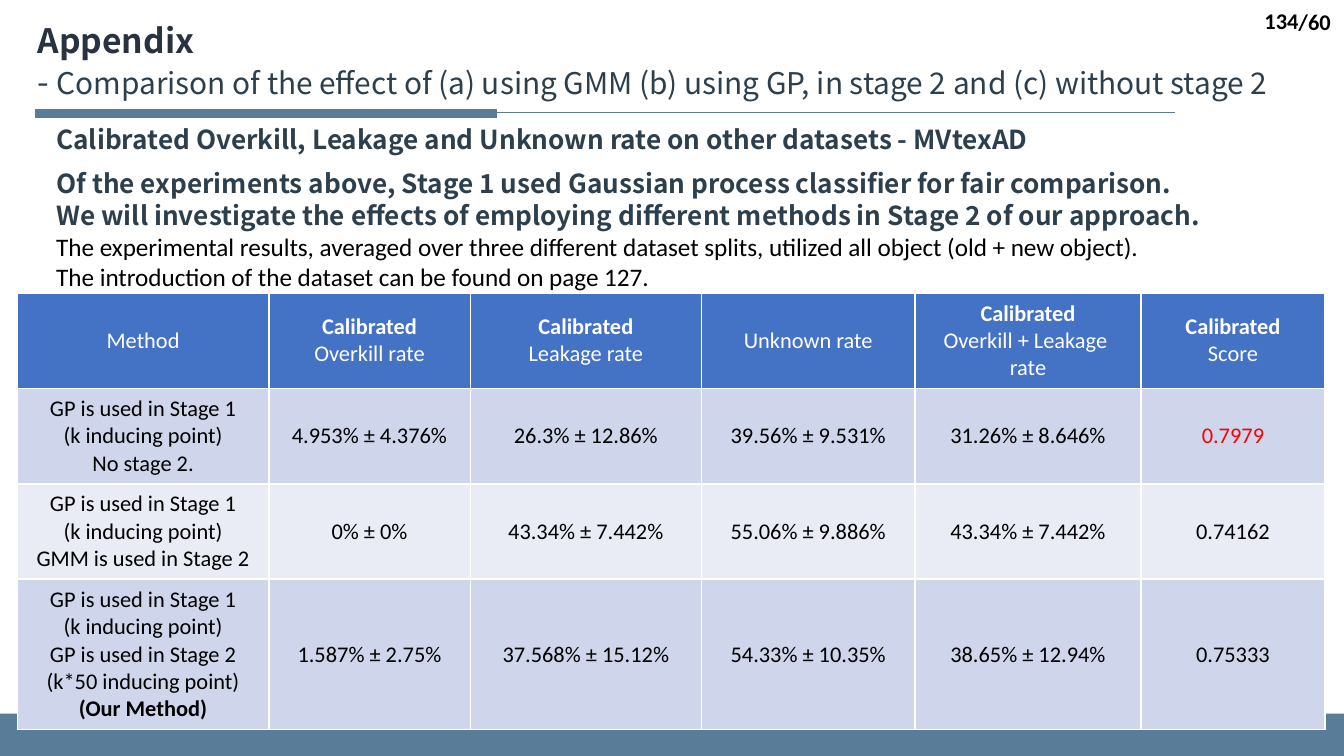
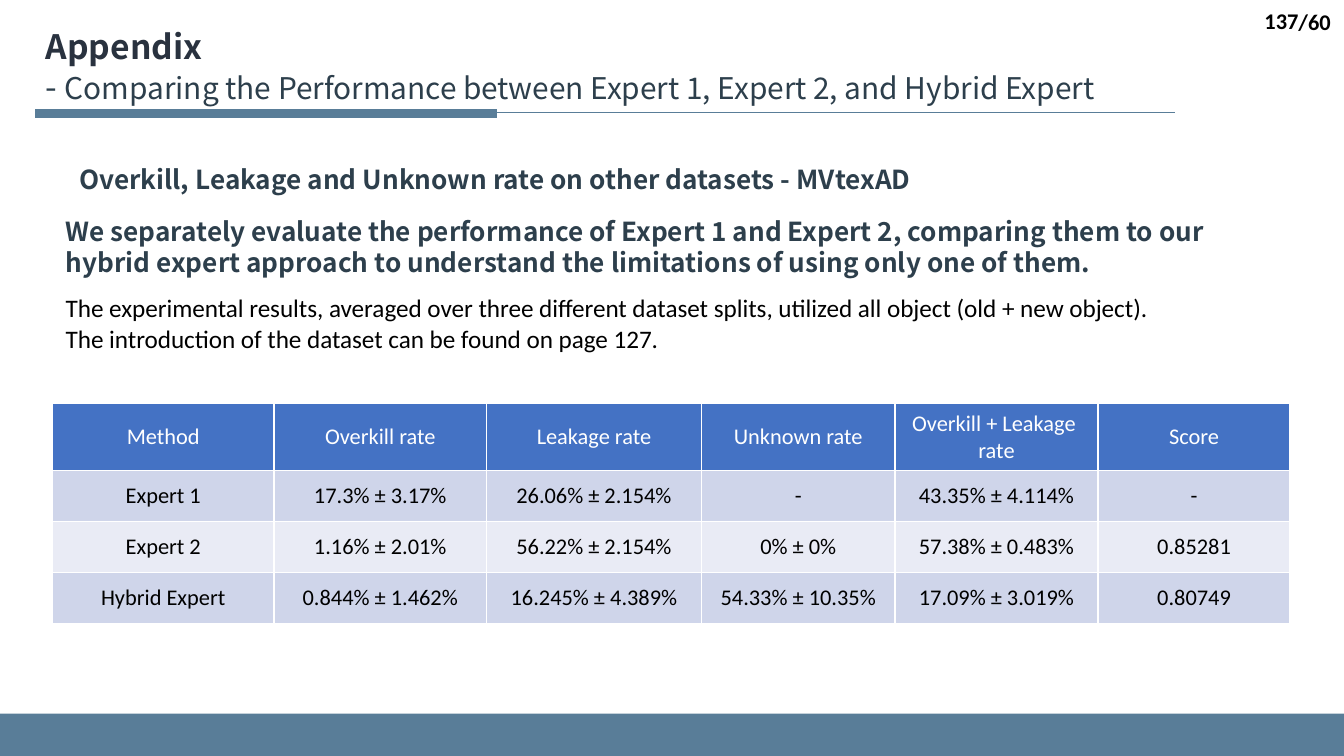
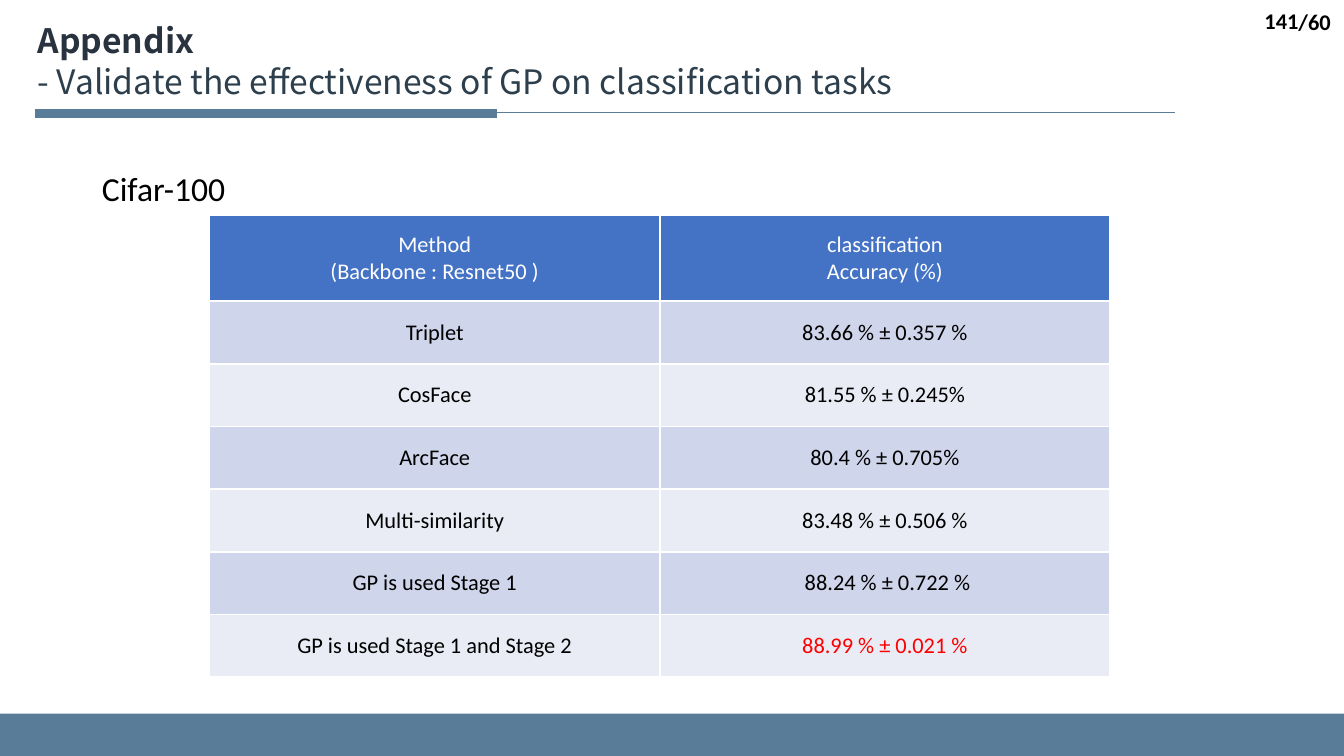
from lxml import etree
from pptx import Presentation
from pptx.dml.color import RGBColor
from pptx.enum.shapes import MSO_CONNECTOR, MSO_SHAPE
from pptx.enum.text import MSO_ANCHOR, MSO_AUTO_SIZE, PP_ALIGN
from pptx.oxml.ns import qn
from pptx.util import Inches, Pt

RECTANGLE, STRAIGHT = MSO_SHAPE.RECTANGLE, MSO_CONNECTOR.STRAIGHT
TOP, MIDDLE = MSO_ANCHOR.TOP, MSO_ANCHOR.MIDDLE
LEFT, CENTER, RIGHT = PP_ALIGN.LEFT, PP_ALIGN.CENTER, PP_ALIGN.RIGHT
FIXED_SIZE = MSO_AUTO_SIZE.NONE

WIDTH = 10
HEIGHT = WIDTH * 9 / 16
FOOTER_TOP = 5.31
TITLE_ONLY = 5
HEADING_FONT, BODY_FONT = "Noto Sans CJK SC", "Calibri"
STEEL, NAVY, SLATE = "597D98", "29323F", "2D3F4C"
BLACK, WHITE, RED = "000000", "FFFFFF", "FF0000"
HEADER_FILL, ROW_FILLS = "4472C4", ("CFD5EA", "E9EBF5")

HEADING = {"size": 14, "font": HEADING_FONT, "color": SLATE, "bold": True}
NOTE = {"size": 13.5}
DATASET_NOTE = [
    "The experimental results, averaged over three different dataset splits, "
    "utilized all object (old + new object).",
    "The introduction of the dataset can be found on page 127.",
]


def rgb(color):
    """Turn a hex string into a colour."""
    return RGBColor.from_string(color)


def styled(text, **style):
    """Return a paragraph of one run that has its own format."""
    return [(text, style)]


def add_run(paragraph, text, size=12, font=BODY_FONT, color=BLACK, bold=False):
    """Add a formatted run, followed by a line break if its text ends in one."""
    run = paragraph.add_run()
    run.text = text.rstrip("\n")
    run.font.size = Pt(size)
    run.font.name = font
    run.font.bold = bold
    run.font.color.rgb = rgb(color)
    if text.endswith("\n"):
        paragraph.add_line_break()
        line_break = paragraph._p.findall(qn("a:br"))[-1]
        etree.SubElement(line_break, qn("a:rPr"), sz=str(size * 100))


def write_text(frame, paragraphs, align=LEFT, **style):
    """Fill a text frame with paragraphs, each a string or a list of runs."""
    if isinstance(paragraphs, str):
        paragraphs = [paragraphs]
    for index, content in enumerate(paragraphs):
        paragraph = frame.paragraphs[0] if index == 0 else frame.add_paragraph()
        paragraph.alignment = align
        runs = styled(content) if isinstance(content, str) else content
        for text, changes in runs:
            add_run(paragraph, text, **{**style, **changes})


def add_text(slide, box, paragraphs, anchor=TOP, **style):
    """Add a text box at left, top, width, height."""
    frame = slide.shapes.add_textbox(*map(Inches, box)).text_frame
    frame.word_wrap = True
    frame.vertical_anchor = anchor
    write_text(frame, paragraphs, **style)


def add_bar(slide, box, outlined=False):
    """Add a steel rectangle."""
    shape = slide.shapes.add_shape(RECTANGLE, *map(Inches, box))
    shape.shadow.inherit = False
    shape.fill.solid()
    shape.fill.fore_color.rgb = rgb(STEEL)
    if outlined:
        shape.line.color.rgb = rgb(STEEL)
        shape.line.width = Pt(1)
        etree.SubElement(shape.line._get_or_add_ln(), qn("a:miter"), lim="800000")
    else:
        shape.line.fill.background()


def add_title_rule(slide, left, top, width):
    """Add the thin rule under the title and its thick start."""
    middle = top + 0.02
    rule = slide.shapes.add_connector(
        STRAIGHT, *map(Inches, (left + width, middle, left, middle)))
    rule.line.color.rgb = rgb(STEEL)
    rule.line.width = Pt(0.5)
    etree.SubElement(rule._element.spPr, qn("a:effectLst"))
    add_bar(slide, (left, top, 3.42, 0.05), outlined=True)


def add_page_number(slide, number):
    """Add the page number and the page total at the top right."""
    style = {"align": RIGHT, "anchor": MIDDLE, "bold": True}
    add_text(slide, (9.54, 0.01, 0.46, 0.3), "/60", **style)
    add_text(slide, (7.75, 0, 2.01, 0.31), str(number), **style)


def add_appendix_slide(presentation, number, title_box, title_paragraphs):
    """Add a slide with the shared footer, rule, title and page number."""
    slide = presentation.slides.add_slide(presentation.slide_layouts[TITLE_ONLY])
    add_bar(slide, (0, FOOTER_TOP, WIDTH, HEIGHT - FOOTER_TOP))
    add_title_rule(slide, 0.27, 0.82, 8.47)
    title = slide.shapes.title
    title.left, title.top, title.width, title.height = map(Inches, title_box)
    frame = title.text_frame
    frame.auto_size = FIXED_SIZE
    frame.word_wrap = True
    frame.vertical_anchor = TOP
    write_text(frame, title_paragraphs, size=18, font=HEADING_FONT, color=SLATE)
    add_page_number(slide, number)
    return slide


def broken_title(subtitle):
    """Return a title paragraph with its smaller subtitle after a line break."""
    return [styled("Appendix\n", color=NAVY, bold=True)
            + [("- ", {}), (subtitle, {"size": 16})]]


def add_results_table(slide, left, top, widths, heights, rows):
    """Add a table with a blue header and banded rows."""
    box = map(Inches, (left, top, sum(widths), sum(heights)))
    table = slide.shapes.add_table(len(rows), len(widths), *box).table
    for column, width in zip(table.columns, widths):
        column.width = Inches(width)
    for index, (height, values) in enumerate(zip(heights, rows)):
        table.rows[index].height = Inches(height)
        fill = ROW_FILLS[(index - 1) % 2] if index else HEADER_FILL
        for cell, value in zip(table.rows[index].cells, values):
            cell.fill.solid()
            cell.fill.fore_color.rgb = rgb(fill)
            cell.vertical_anchor = MIDDLE
            write_text(cell.text_frame, value, align=CENTER,
                       color=BLACK if index else WHITE)


def build_stage_comparison(presentation):
    """Build the slide that compares methods in stage 2."""
    slide = add_appendix_slide(
        presentation, 134, (0.18, 0.1, 9.79, 0.71), broken_title(
            "Comparison of the effect of (a) using GMM (b) using GP, in stage 2 "
            "and (c) without stage 2"))
    calibrated = styled("Calibrated", bold=True)
    stage_one = ["GP is used in Stage 1", "(k inducing point)"]
    add_results_table(
        slide, 0.13, 2.18, (1.87, 1.5, 1.72, 1.59, 1.68, 1.37),
        (0.71, 0.71, 0.71, 1.12), [
            ["Method", [calibrated, "Overkill rate"], [calibrated, "Leakage rate"],
             "Unknown rate", [calibrated, "Overkill + Leakage ", "rate"],
             [calibrated, "Score"]],
            [stage_one + ["No stage 2."], "4.953% ± 4.376%", "26.3% ± 12.86%",
             "39.56% ± 9.531%", "31.26% ± 8.646%", [styled("0.7979", color=RED)]],
            [stage_one + ["GMM is used in Stage 2"], "0% ± 0%", "43.34% ± 7.442%",
             "55.06% ± 9.886%", "43.34% ± 7.442%", "0.74162"],
            [stage_one + ["GP is used in Stage 2", "(k*50 inducing point)",
                          styled("(Our Method)", bold=True)],
             "1.587% ± 2.75%", "37.568% ± 15.12%", "54.33% ± 10.35%",
             "38.65% ± 12.94%", "0.75333"],
        ])
    add_text(slide, (0.32, 0.87, 7.96, 0.34),
             "Calibrated Overkill, Leakage and Unknown rate on other datasets - MVtexAD",
             **HEADING)
    add_text(slide, (0.32, 1.2, 9.53, 0.57), [
        "Of the experiments above, Stage 1 used Gaussian process classifier "
        "for fair comparison.",
        "We will investigate the effects of employing different methods in "
        "Stage 2 of our approach.",
    ], **HEADING)
    add_text(slide, (0.32, 1.67, 8.25, 0.56), DATASET_NOTE, **NOTE)


def build_expert_comparison(presentation):
    """Build the slide that compares the experts."""
    slide = add_appendix_slide(
        presentation, 137, (0.24, 0.14, 9.66, 0.71), broken_title(
            "Comparing the Performance between Expert 1, Expert 2, "
            "and Hybrid Expert"))
    add_text(slide, (0.49, 1.17, 7.42, 0.34),
             "Overkill, Leakage and Unknown rate on other datasets - MVtexAD",
             **HEADING)
    add_text(slide, (0.39, 1.55, 8.88, 0.57),
             "We separately evaluate the performance of Expert 1 and Expert 2, "
             "comparing them to our hybrid expert approach to understand the "
             "limitations of using only one of them.", **HEADING)
    add_text(slide, (0.39, 2.13, 9.05, 0.56), DATASET_NOTE, **NOTE)
    add_results_table(
        slide, 0.39, 3, (1.65, 1.58, 1.6, 1.44, 1.51, 1.43),
        (0.5, 0.38, 0.38, 0.38), [
            ["Method", "Overkill rate", "Leakage rate", "Unknown rate",
             ["Overkill + Leakage ", "rate"], "Score"],
            ["Expert 1", "17.3% ± 3.17%", "26.06% ± 2.154%", "-",
             "43.35% ± 4.114%", "-"],
            ["Expert 2", "1.16% ± 2.01%", "56.22% ± 2.154%", "0% ± 0%",
             "57.38% ± 0.483%", "0.85281"],
            ["Hybrid Expert", "0.844% ± 1.462%", "16.245% ± 4.389%",
             "54.33% ± 10.35%", "17.09% ± 3.019%", "0.80749"],
        ])


def build_classification(presentation):
    """Build the slide with classification accuracy."""
    slide = add_appendix_slide(
        presentation, 141, (0.18, 0.1, 6.95, 0.71), [
            styled("Appendix", color=NAVY, bold=True),
            "- Validate the effectiveness of GP on classification tasks"])
    add_text(slide, (0.66, 1.2, 1.81, 0.4), "Cifar-100", size=18)
    header_height, table_height = 0.64, 3.44
    row_height = (table_height - header_height) / 6
    add_results_table(
        slide, 1.56, 1.6, (3.35, 3.35), [header_height] + [row_height] * 6, [
            [["Method", "(Backbone : Resnet50 )"], ["classification", "Accuracy (%)"]],
            ["Triplet", "83.66 % ± 0.357 %"],
            ["CosFace", "81.55 % ± 0.245%"],
            ["ArcFace", "80.4 % ± 0.705%"],
            ["Multi-similarity", "83.48 % ± 0.506 %"],
            ["GP is used Stage 1", " 88.24 % ± 0.722 %"],
            ["GP is used Stage 1 and Stage 2",
             [styled("88.99 % ± 0.021 %", color=RED)]],
        ])


def main():
    """Build and save the presentation."""
    presentation = Presentation()
    presentation.slide_width = Inches(WIDTH)
    presentation.slide_height = Inches(HEIGHT)
    build_stage_comparison(presentation)
    build_expert_comparison(presentation)
    build_classification(presentation)
    presentation.save("out.pptx")


if __name__ == "__main__":
    main()
